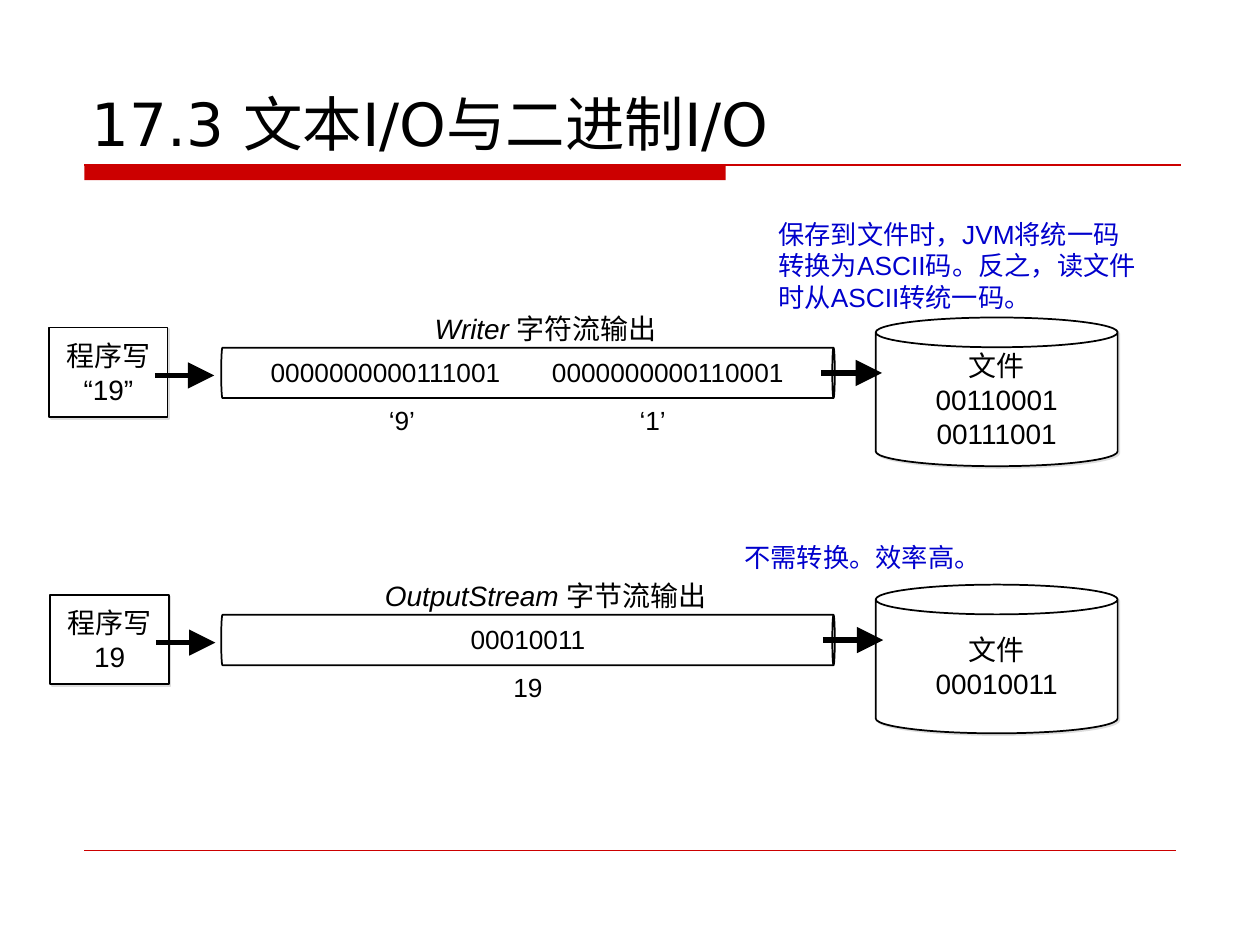
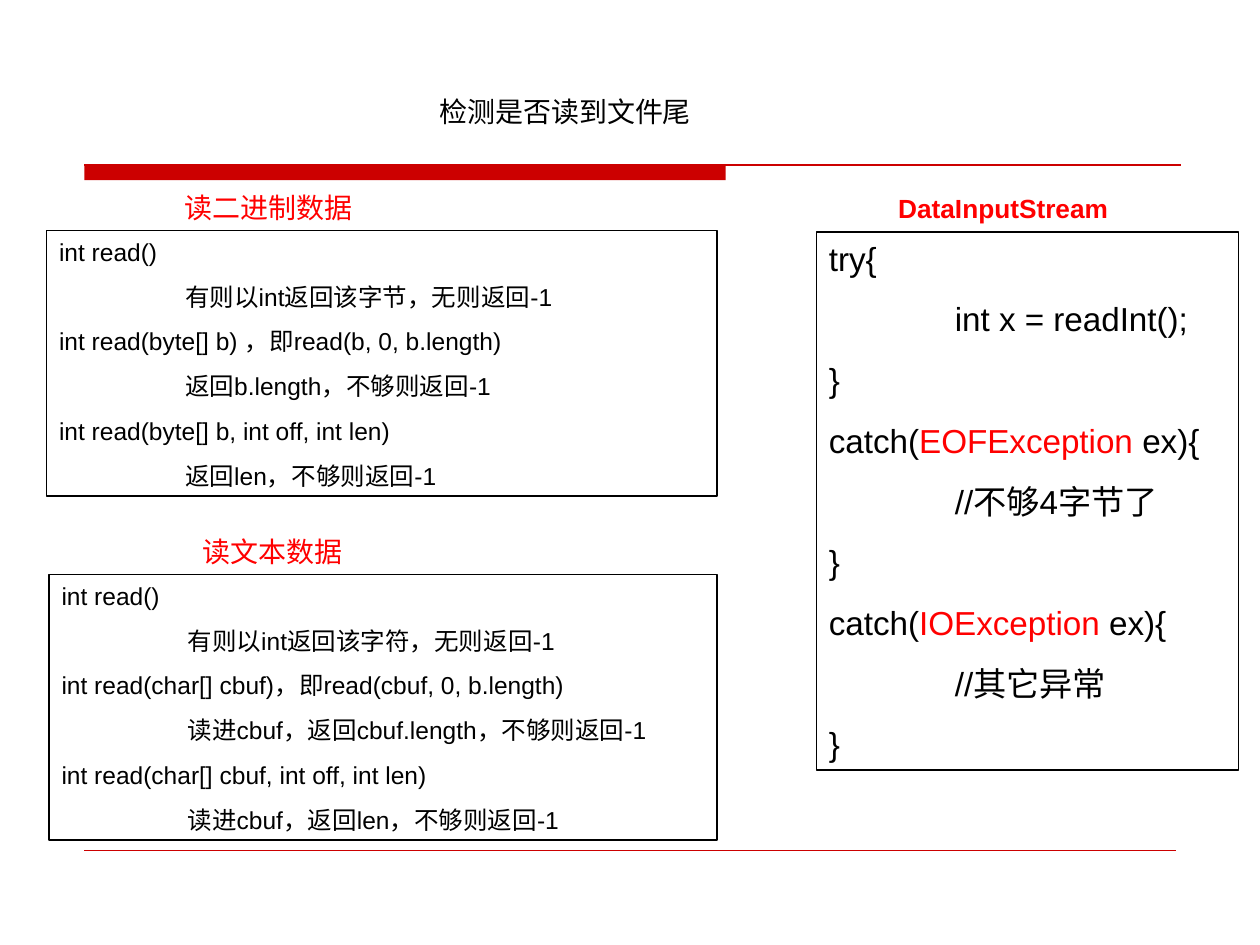
from dataclasses import dataclass

from lxml import etree
from pptx import Presentation
from pptx.dml.color import RGBColor
from pptx.enum.shapes import MSO_CONNECTOR as Connector
from pptx.enum.shapes import MSO_SHAPE as Shape
from pptx.enum.text import MSO_ANCHOR as Anchor
from pptx.enum.text import MSO_AUTO_SIZE as AutoSize
from pptx.enum.text import PP_ALIGN as Align
from pptx.oxml.ns import qn
from pptx.util import Inches, Pt


@dataclass(frozen=True)
class Theme:
    black = RGBColor(0x00, 0x00, 0x00)
    white = RGBColor(0xFF, 0xFF, 0xFF)
    band = RGBColor(0xCC, 0x00, 0x00)
    red = RGBColor(0xFF, 0x00, 0x00)
    blue = RGBColor(0x00, 0x00, 0xCC)
    shadow = "DDDDDD"
    font = "Arial"
    title_font = "DejaVu Sans"
    title = 34
    label = 16
    detail = 15
    code = 14
    large_code = 19
    outline = 1
    arrow = 3


THEME = Theme()

STREAM_TITLE = "17.3 文本I/O与二进制I/O"
STREAMS = [
    {
        "origin": (0.39, 2.6),
        "program": ["程序写", "“19”"],
        "stream": ("Writer ", "字符流输出"),
        "bits": [("0000000000111001", 3.06), ("0000000000110001", 5.3)],
        "values": [("‘9’", 3.19), ("‘1’", 5.18)],
        "file": ["文件", "00110001", "00111001"],
        "note": "保存到文件时，JVM将统一码转换为ASCII码。反之，读文件时从ASCII转统一码。",
        "note_at": (6.08, 1.68, 3.05, 0.85),
    },
    {
        "origin": (0.4, 4.72),
        "program": ["程序写", "19"],
        "stream": ("OutputStream ", "字节流输出"),
        "bits": [("00010011", 4.19)],
        "values": [("19", 4.19)],
        "file": ["文件", "00010011"],
        "note": "不需转换。效率高。",
        "note_at": (5.81, 4.25, 3.05, 0.35),
    },
]

END_TITLE = "检测是否读到文件尾"
CODE_PANELS = [
    {
        "heading": "读二进制数据",
        "heading_at": (1.37, 1.46, 1.8, 0.37),
        "heading_size": THEME.label,
        "bold": False,
        "at": (0.37, 1.83, 5.32, 2.11),
        "size": THEME.code,
        "space": 8.8,
        "lines": [
            "int read()",
            "\t有则以int返回该字节，无则返回-1",
            "int read(byte[] b) ，即read(b, 0, b.length)",
            "\t返回b.length，不够则返回-1",
            "int read(byte[] b, int off, int len)",
            "\t返回len，不够则返回-1",
        ],
    },
    {
        "heading": "读文本数据",
        "heading_at": (1.51, 4.19, 1.6, 0.37),
        "heading_size": THEME.label,
        "bold": False,
        "at": (0.39, 4.56, 5.3, 2.11),
        "size": THEME.code,
        "space": 8.8,
        "lines": [
            "int read()",
            "\t有则以int返回该字符，无则返回-1",
            "int read(char[] cbuf)，即read(cbuf, 0, b.length)",
            "\t读进cbuf，返回cbuf.length，不够则返回-1",
            "int read(char[] cbuf, int off, int len)",
            "\t读进cbuf，返回len，不够则返回-1",
        ],
    },
    {
        "heading": "DataInputStream",
        "heading_at": (7.03, 1.48, 2.2, 0.35),
        "heading_size": THEME.detail,
        "bold": True,
        "at": (6.48, 1.84, 3.35, 4.27),
        "size": THEME.large_code,
        "space": 11.9,
        "lines": [
            "try{",
            "\tint x = readInt();",
            "}",
            ("catch(", "EOFException", " ex){"),
            "\t//不够4字节了",
            "}",
            ("catch(", "IOException", " ex){"),
            "\t//其它异常",
            "}",
        ],
    },
]


def inches(*lengths):
    return [Inches(length) for length in lengths]


def format_run(run, size, color=THEME.black, font=THEME.font):
    run.font.size = Pt(size)
    run.font.name = font
    run.font.color.rgb = color


def write_lines(text_frame, lines, size, color=THEME.black, align=Align.LEFT):
    text_frame.text = "\n".join(lines)
    for paragraph in text_frame.paragraphs:
        paragraph.alignment = align
        for run in paragraph.runs:
            format_run(run, size, color)


def add_text(slide, at, text, size, color=THEME.black, align=Align.LEFT):
    box = slide.shapes.add_textbox(*inches(*at))
    box.text_frame.word_wrap = True
    write_lines(box.text_frame, [text], size, color, align)
    return box


def add_outlined(slide, kind, at, fill=None):
    shape = slide.shapes.add_shape(kind, *inches(*at))
    shape.shadow.inherit = False
    if fill is None:
        shape.fill.background()
    else:
        shape.fill.solid()
        shape.fill.fore_color.rgb = fill
    shape.line.color.rgb = THEME.black
    shape.line.width = Pt(THEME.outline)
    return shape


def add_node(slide, kind, at, lines):
    node = add_outlined(slide, kind, at, THEME.white)
    effects = node.element.spPr.find(qn("a:effectLst"))
    shadow = etree.SubElement(effects, qn("a:outerShdw"), dist=str(Pt(1.4)),
                              dir="2700000", algn="ctr", rotWithShape="0")
    etree.SubElement(shadow, qn("a:srgbClr"), val=THEME.shadow)
    node.text_frame.word_wrap = False
    write_lines(node.text_frame, lines, THEME.label, align=Align.CENTER)
    return node


def add_line(slide, start, end, color, width):
    line = slide.shapes.add_connector(Connector.STRAIGHT, *inches(*start, *end))
    line.line.color.rgb = color
    line.line.width = Pt(width)
    etree.SubElement(line.element.spPr, qn("a:effectLst"))
    return line


def add_arrow(slide, left, top, length):
    arrow = add_line(slide, (left, top), (left + length, top), THEME.black, THEME.arrow)
    outline = arrow.element.spPr.find(qn("a:ln"))
    etree.SubElement(outline, qn("a:tailEnd"), type="triangle", w="lg", len="lg")


def add_slide(presentation, title, at, size, font, anchor):
    slide = presentation.slides.add_slide(presentation.slide_layouts[5])
    band = slide.shapes.add_shape(Shape.RECTANGLE, *inches(0.67, 1.31, 5.09, 0.12))
    band.shadow.inherit = False
    band.fill.solid()
    band.fill.fore_color.rgb = THEME.band
    band.line.fill.background()
    add_line(slide, (0.67, 1.31), (9.37, 1.31), THEME.band, 0.75)
    add_line(slide, (0.67, 6.75), (9.33, 6.75), THEME.band, 0.25)

    heading = slide.shapes.title
    heading.left, heading.top, heading.width, heading.height = inches(*at)
    text_frame = heading.text_frame
    text_frame.text = title
    text_frame.auto_size = AutoSize.NONE
    text_frame.vertical_anchor = anchor
    text_frame.word_wrap = True
    text_frame.paragraphs[0].alignment = Align.LEFT
    format_run(text_frame.paragraphs[0].runs[0], size, font=font)
    return slide


def add_stream(slide, stream):
    left, top = stream["origin"]
    middle = top + 0.36
    pipe_center, pipe_length, pipe_height = 4.19, 4.87, 0.4

    disk = add_node(slide, Shape.CAN, (6.95, top - 0.08, 1.92, 1.18), stream["file"])
    disk.adjustments[0] = 0.2
    add_node(slide, Shape.RECTANGLE, (left, top, 0.94, 0.71), stream["program"])

    name, description = stream["stream"]
    caption = add_text(slide, (2.89, top - 0.18, 2.88, 0.37), name, THEME.label,
                       align=Align.CENTER)
    paragraph = caption.text_frame.paragraphs[0]
    paragraph.runs[0].font.italic = True
    run = paragraph.add_run()
    run.text = description
    format_run(run, THEME.label)

    pipe = add_outlined(slide, Shape.CAN, (pipe_center - pipe_height / 2,
                        middle - pipe_length / 2, pipe_height, pipe_length))
    pipe.rotation = 90
    pipe.adjustments[0] = 0.05
    for labels, offset in ((stream["bits"], -0.18), (stream["values"], 0.2)):
        for text, center in labels:
            add_text(slide, (center - 1.1, middle + offset, 2.2, 0.35), text,
                     THEME.detail, align=Align.CENTER)

    add_arrow(slide, left + 0.84, top + 0.38, 0.47)
    add_arrow(slide, left + 6.13, middle, 0.48)
    add_text(slide, stream["note_at"], stream["note"], THEME.detail, THEME.blue)


def add_code_line(paragraph, line, size):
    parts = (line,) if isinstance(line, str) else line
    for index, part in enumerate(parts):
        run = paragraph.add_run()
        run.text = part
        format_run(run, size, THEME.red if index == 1 else THEME.black)


def add_code_panel(slide, panel):
    heading = add_text(slide, panel["heading_at"], panel["heading"],
                       panel["heading_size"], THEME.red)
    heading.text_frame.paragraphs[0].runs[0].font.bold = panel["bold"]

    box = add_outlined(slide, Shape.RECTANGLE, panel["at"])
    text_frame = box.text_frame
    text_frame.word_wrap = True
    text_frame.vertical_anchor = Anchor.TOP
    for index, line in enumerate(panel["lines"]):
        paragraph = text_frame.add_paragraph() if index else text_frame.paragraphs[0]
        paragraph.alignment = Align.LEFT
        if index:
            paragraph.space_before = Pt(panel["space"])
        tabs = etree.SubElement(paragraph._p.get_or_add_pPr(), qn("a:tabLst"))
        etree.SubElement(tabs, qn("a:tab"), pos=str(Inches(1)), algn="l")
        add_code_line(paragraph, line, panel["size"])


def main():
    presentation = Presentation()
    presentation.slide_width, presentation.slide_height = inches(10, 7.5)

    slide = add_slide(presentation, STREAM_TITLE, (0.63, 0.33, 8.75, 0.98),
                      THEME.title, THEME.title_font, Anchor.BOTTOM)
    for stream in STREAMS:
        add_stream(slide, stream)

    slide = add_slide(presentation, END_TITLE, (3.39, 0.7, 2.6, 0.37),
                      THEME.label, THEME.font, Anchor.TOP)
    for panel in CODE_PANELS:
        add_code_panel(slide, panel)

    presentation.save("out.pptx")


if __name__ == "__main__":
    main()
